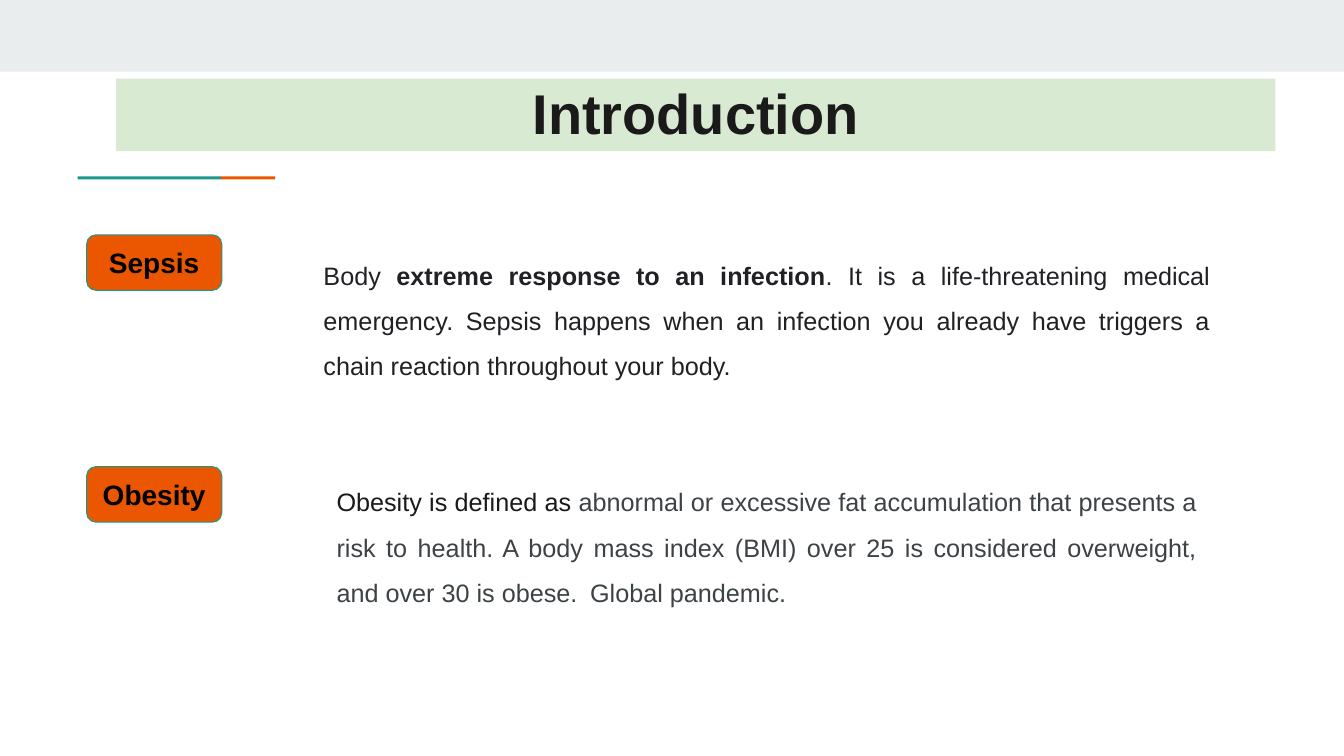
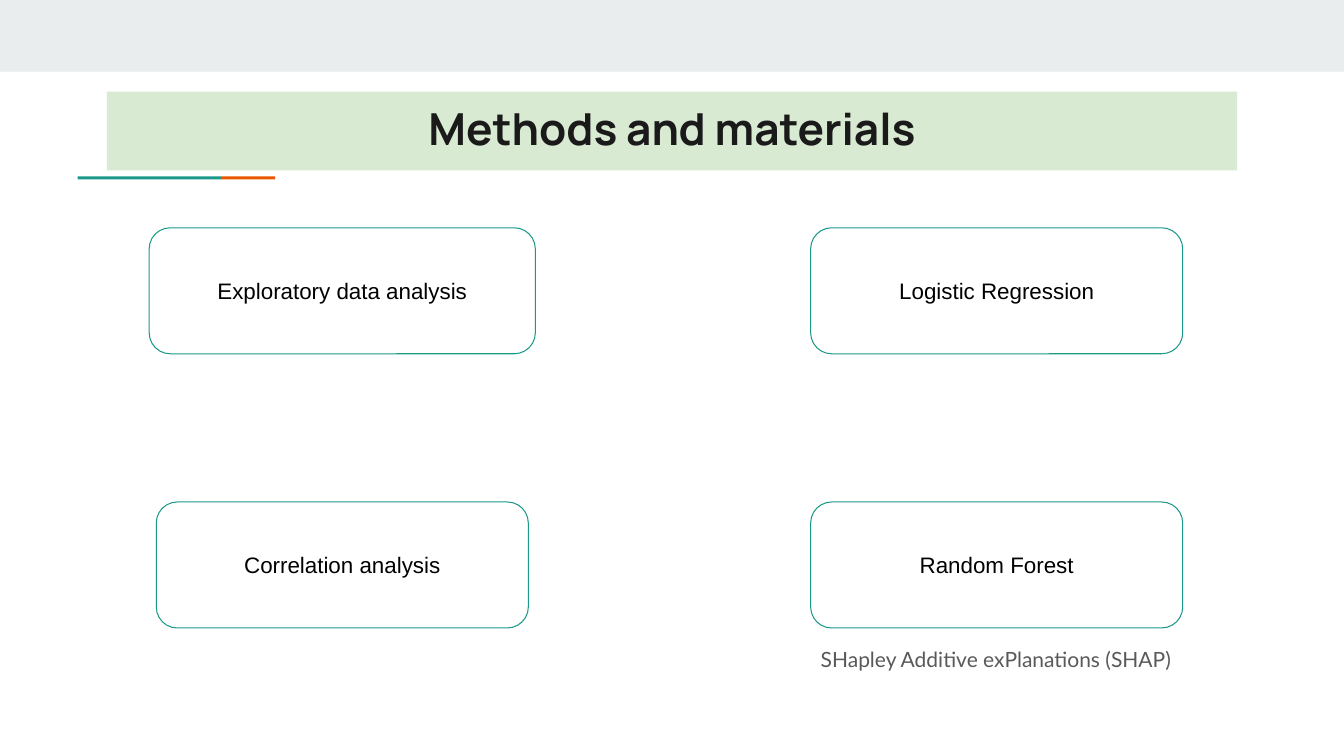
from lxml.etree import SubElement
from pptx import Presentation
from pptx.dml.color import RGBColor
from pptx.enum.shapes import MSO_SHAPE
from pptx.enum.text import MSO_ANCHOR, MSO_AUTO_SIZE, PP_ALIGN
from pptx.oxml.ns import qn
from pptx.util import Emu, Pt

# Scale: 100 px to the inch
PX = 9144
SLIDE_W, SLIDE_H = 1333, 750
TITLE_AND_BODY, TITLE_ONLY = 1, 5

# Colours
BAND = RGBColor(0xE9, 0xED, 0xEE)
TEAL = RGBColor(0x1A, 0x99, 0x88)
ORANGE = RGBColor(0xEB, 0x56, 0x00)
TITLE_FILL = RGBColor(0xD9, 0xEA, 0xD3)
INK = RGBColor(0x1A, 0x1A, 0x1A)
CHARCOAL = RGBColor(0x20, 0x21, 0x24)
SLATE = RGBColor(0x3C, 0x42, 0x45)
GREY = RGBColor(0x59, 0x59, 0x59)
BLACK = RGBColor(0, 0, 0)


def px(*lengths):
    return [Emu(length * PX) for length in lengths]


class Deck:
    """Holds the shared style and the slide being built."""

    def __init__(self):
        self.prs = Presentation()
        self.prs.slide_width, self.prs.slide_height = px(SLIDE_W, SLIDE_H)
        self.slide = None

    def new_slide(self, layout):
        self.slide = self.prs.slides.add_slide(self.prs.slide_layouts[layout])
        # Top band and two-colour accent rule
        self.shape(MSO_SHAPE.RECTANGLE, (0, 0, SLIDE_W, 71), BAND)
        self.shape(MSO_SHAPE.RECTANGLE, (77, 175, 142, 3), TEAL)
        self.shape(MSO_SHAPE.RECTANGLE, (219, 175, 54, 3), ORANGE)

    def shape(self, preset, area, fill=None, line=None):
        shape = self.slide.shapes.add_shape(preset, *px(*area))
        shape.shadow.inherit = False
        if fill is None:
            shape.fill.background()
        else:
            shape.fill.solid()
            shape.fill.fore_color.rgb = fill
        if line is None:
            shape.line.fill.background()
        else:
            shape.line.color.rgb = line
            shape.line.width = Pt(0.75)
        return shape

    def set_text(self, frame, runs, align, spacing=1.0, anchor=MSO_ANCHOR.TOP,
                 inset=10, font="Arial"):
        """Fill a frame with one paragraph of (text, size, colour, bold) runs."""
        frame.word_wrap = True
        frame.auto_size = MSO_AUTO_SIZE.NONE
        frame.vertical_anchor = anchor
        frame.margin_left, frame.margin_right = px(10, 10)
        frame.margin_top, frame.margin_bottom = px(inset, inset)
        paragraph = frame.paragraphs[0]
        paragraph.alignment = align
        paragraph.line_spacing = spacing
        paragraph.space_before = Pt(0)
        for text, size, colour, bold in runs:
            run = paragraph.add_run()
            run.text = text
            run.font.name = font
            run.font.size = Pt(size)
            run.font.color.rgb = colour
            run.font.bold = bold
        return paragraph

    def place(self, placeholder, area):
        (placeholder.left, placeholder.top,
         placeholder.width, placeholder.height) = px(*area)

    def title(self, text, area, size, font="Arial", anchor=MSO_ANCHOR.MIDDLE):
        heading = self.slide.shapes.title
        self.place(heading, area)
        heading.fill.solid()
        heading.fill.fore_color.rgb = TITLE_FILL
        self.set_text(heading.text_frame, [(text, size, INK, True)],
                      PP_ALIGN.CENTER, 0.9, anchor, 5, font)

    def caption(self, text, area):
        body = self.slide.placeholders[1]
        self.place(body, area)
        paragraph = self.set_text(body.text_frame, [(text, 15, GREY, False)],
                                  PP_ALIGN.LEFT, 0.9, inset=5, font="Lato")
        # No bullet and no hanging indent
        properties = paragraph._p.get_or_add_pPr()
        properties.set("marL", "0")
        properties.set("indent", "0")
        SubElement(properties, qn("a:buNone"))

    def box(self, text, area, size, fill=None, bold=False):
        box = self.shape(MSO_SHAPE.ROUNDED_RECTANGLE, area, fill, TEAL)
        self.set_text(box.text_frame, [(text, size, BLACK, bold)],
                      PP_ALIGN.CENTER, anchor=MSO_ANCHOR.MIDDLE)

    def definition(self, runs, area, inset):
        text_box = self.slide.shapes.add_textbox(*px(*area))
        self.set_text(text_box.text_frame, runs, PP_ALIGN.JUSTIFY, 1.5,
                      inset=inset)


def introduction(deck):
    deck.new_slide(TITLE_ONLY)
    deck.title("Introduction", (115, 78, 1150, 72), 40,
               anchor=MSO_ANCHOR.BOTTOM)

    # Terms
    for term, top in (("Sepsis", 233), ("Obesity", 463)):
        deck.box(term, (86, top, 134, 55), 20, ORANGE, True)

    # Definitions
    deck.definition([
        ("Body", 18, CHARCOAL, False),
        (" extreme response to an infection", 18, CHARCOAL, True),
        (". It is a life-threatening medical emergency. Sepsis happens when "
         "an infection you already have triggers a chain reaction throughout "
         "your body.", 18, CHARCOAL, False),
    ], (311, 233, 899, 141), 10)
    deck.definition([
        ("Obesity is defined as ", 18, INK, False),
        ("abnormal or excessive fat accumulation that presents a risk to "
         "health. A body mass index (BMI) over 25 is considered overweight, "
         "and over 30 is obese. ", 18, SLATE, False),
        (" ", 14, BLACK, False),
        ("Global pandemic.", 18, SLATE, False),
    ], (324, 463, 873, 131), 5)


def methods(deck):
    deck.new_slide(TITLE_AND_BODY)
    deck.title("Methods and materials", (106, 91, 1121, 78), 31.5, "Manrope")

    # Analyses on the left, models on the right
    upper, lower = 226, 498
    for method, left, top, width in (
        ("Exploratory data analysis", 148, upper, 383),
        ("Correlation analysis", 155, lower, 369),
        ("Logistic Regression", 804, upper, 369),
        ("Random Forest", 804, lower, 369),
    ):
        deck.box(method, (left, top, width, 125), 16)

    deck.caption("SHapley Additive exPlanations (SHAP)", (804, 639, 383, 56))


def main():
    deck = Deck()
    introduction(deck)
    methods(deck)
    deck.prs.save("out.pptx")


if __name__ == "__main__":
    main()
